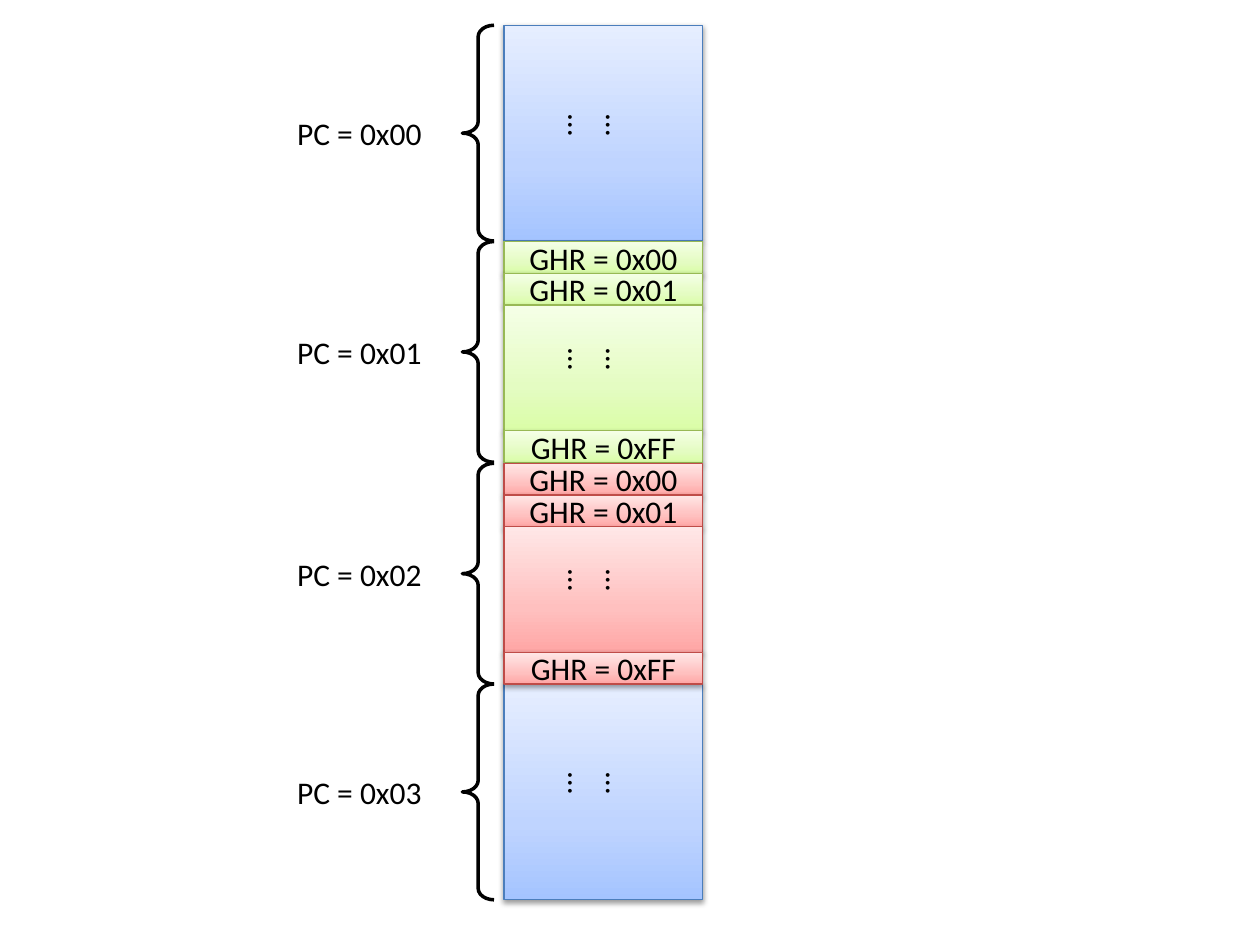
import copy
import pptx
import pptx.dml.color
import pptx.enum.shapes
import pptx.enum.text
import pptx.oxml
import pptx.oxml.ns
import pptx.util

Cm = pptx.util.Cm
Pt = pptx.util.Pt
SHAPES = pptx.enum.shapes.MSO_SHAPE
ALIGN = pptx.enum.text.PP_ALIGN

COLORS = {
    "text": "000000",
    "blue": ("A4C4FF", "BFD4FF", "E6EEFF", "4B7EBC"),
    "green": ("DAFDA7", "E4FCC2", "F5FFE7", "98B955"),
    "red": ("FFA6A5", "FFC0BF", "FFE7E7", "BF4C48"),
}
STOP_POSITIONS = (0, 0.35, 1)
COLUMN_LEFT, COLUMN_WIDTH = 10.16, 4.01
ROW_HEIGHT = 0.64
LABEL_HEIGHT = 1.02
BANDS = (
    ("PC = 0x00", "blue", 0.51, 4.35, 1.55),
    ("PC = 0x01", "green", 4.87, 4.45, 1.9),
    ("PC = 0x03", "blue", 13.79, 4.35, 1.53),
    ("PC = 0x02", "red", 9.34, 4.45, 1.89),
)


def rgb(value):
    return pptx.dml.color.RGBColor.from_string(value)


def add_run(shape, text, alignment):
    paragraph = shape.text_frame.paragraphs[0]
    paragraph.alignment = alignment
    run = paragraph.add_run()
    run.text = text
    run.font.size = Pt(18)
    run.font.name = "Calibri"
    run.font.color.rgb = rgb(COLORS["text"])


def fill_gradient(shape, colors):
    shape.fill.gradient()
    shape.fill.gradient_angle = 90
    stop_list = next(shape._element.spPr.iter(pptx.oxml.ns.qn("a:gsLst")))
    stop_list.append(copy.deepcopy(stop_list[-1]))
    for stop, position, color in zip(shape.fill.gradient_stops, STOP_POSITIONS, colors):
        stop.position = position
        stop.color.rgb = rgb(color)


def add_shadow(shape):
    shape.shadow.inherit = False
    effects = shape._element.spPr.find(pptx.oxml.ns.qn("a:effectLst"))
    effects.append(pptx.oxml.parse_xml(
        f'<a:outerShdw {pptx.oxml.ns.nsdecls("a")} blurRad="{Pt(3.1)}" dist="{Pt(1.6)}" '
        'dir="5400000" rotWithShape="0"><a:srgbClr val="000000">'
        '<a:alpha val="38000"/></a:srgbClr></a:outerShdw>'))


def add_cell(slide, top, height, color_name, text=None):
    cell = slide.shapes.add_shape(
        SHAPES.RECTANGLE, Cm(COLUMN_LEFT), Cm(top), Cm(COLUMN_WIDTH), Cm(height))
    *stops, line_color = COLORS[color_name]
    fill_gradient(cell, stops)
    cell.line.color.rgb = rgb(line_color)
    cell.line.width = Pt(0.75)
    add_shadow(cell)
    if text:
        cell.text_frame.vertical_anchor = pptx.enum.text.MSO_ANCHOR.MIDDLE
        add_run(cell, text, ALIGN.CENTER)


def add_text(slide, left, top, width, height, text, vertical=False):
    box = slide.shapes.add_textbox(Cm(left), Cm(top), Cm(width), Cm(height))
    box.text_frame.word_wrap = True
    box.text_frame.auto_size = pptx.enum.text.MSO_AUTO_SIZE.SHAPE_TO_FIT_TEXT
    if vertical:
        box.text_frame._txBody.bodyPr.set("vert", "eaVert")
    add_run(box, text, ALIGN.LEFT)


def add_brace(slide, top, height):
    brace = slide.shapes.add_shape(
        SHAPES.LEFT_BRACE, Cm(9.32), Cm(top), Cm(0.64), Cm(height))
    brace.adjustments[0] = 0.36
    brace.adjustments[1] = 0.5
    brace.fill.background()
    brace.line.color.rgb = rgb(COLORS["text"])
    brace.line.width = Pt(2)
    brace.shadow.inherit = False


def add_band(slide, label, color_name, top, height, dots_offset):
    if color_name == "blue":
        add_cell(slide, top, height, color_name)
    else:
        last_top = top + height - ROW_HEIGHT
        middle_top = top + 2 * ROW_HEIGHT
        add_cell(slide, top, ROW_HEIGHT, color_name, "GHR = 0x00")
        add_cell(slide, top + ROW_HEIGHT, ROW_HEIGHT, color_name, "GHR = 0x01")
        add_cell(slide, middle_top, last_top - middle_top, color_name)
        add_cell(slide, last_top, ROW_HEIGHT, color_name, "GHR = 0xFF")
    add_text(slide, 11.71, top + dots_offset, 1.27, 1.27, "……", vertical=True)
    add_brace(slide, top, height)
    add_text(slide, 5.74, top + (height - LABEL_HEIGHT) / 2, 3.38, LABEL_HEIGHT, label)


presentation = pptx.Presentation()
presentation.slide_width = Cm(25.4)
presentation.slide_height = Cm(19.05)
slide = presentation.slides.add_slide(presentation.slide_layouts[6])
for band in BANDS:
    add_band(slide, *band)
presentation.save("out.pptx")
